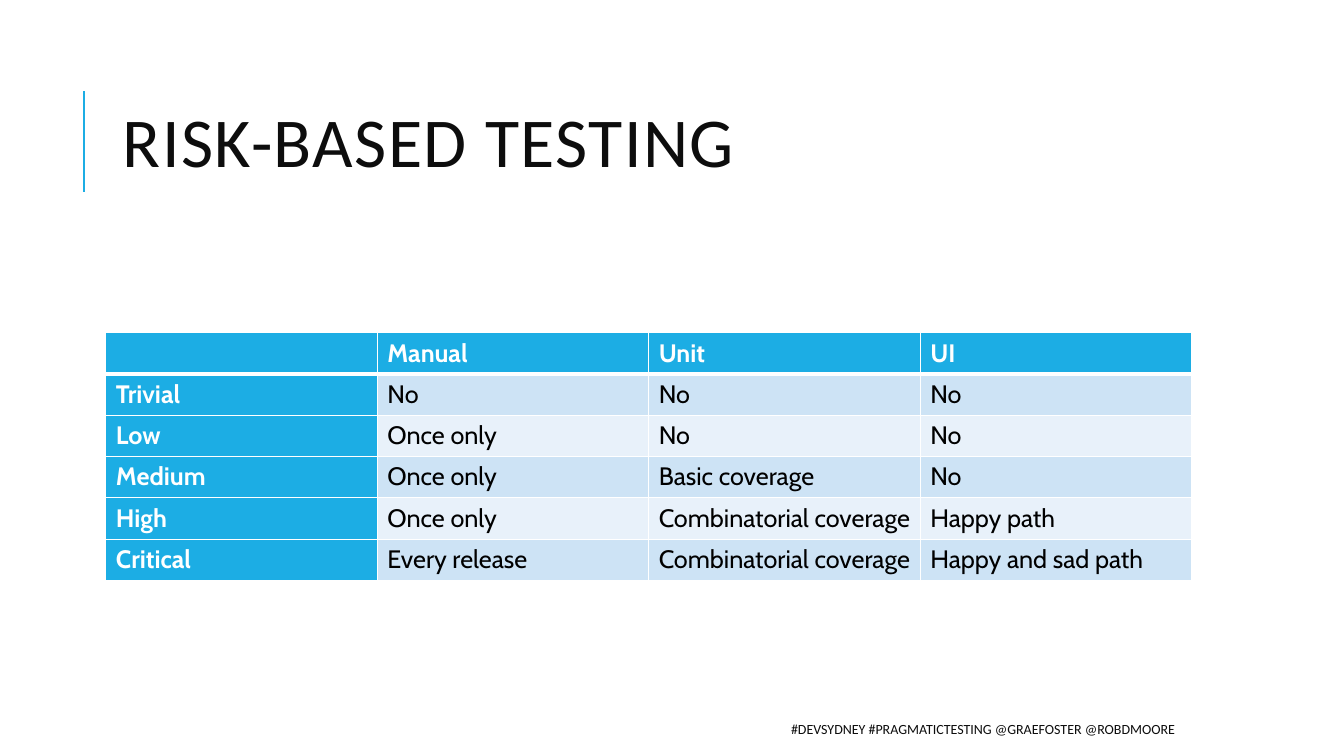
from dataclasses import dataclass

from lxml.etree import SubElement
from pptx import Presentation
from pptx.dml.color import RGBColor
from pptx.enum.shapes import MSO_CONNECTOR
from pptx.enum.text import MSO_ANCHOR, PP_ALIGN
from pptx.oxml.ns import qn
from pptx.util import Inches, Pt


@dataclass(frozen=True)
class Theme:
    accent: str = "1CADE4"
    heading: str = "0D0D0D"
    body: str = "000000"
    white: str = "FFFFFF"
    bands: tuple = ("CDE3F5", "E8F1FA")
    heading_font: str = "Calibri"
    table_font: str = "Cabin"
    title_size: int = 50
    table_size: int = 18
    footer_size: int = 10
    rule_width: float = 1.5
    border: int = 1
    header_border: int = 3


THEME = Theme()
RISK_TABLE = [
    ["", "Manual", "Unit", "UI"],
    ["Trivial", "No", "No", "No"],
    ["Low", "Once only", "No", "No"],
    ["Medium", "Once only", "Basic coverage", "No"],
    ["High", "Once only", "Combinatorial coverage", "Happy path"],
    ["Critical", "Every release", "Combinatorial coverage", "Happy and sad path"],
]


def add_span(para, text, font, size, color, bold=False):
    span = para.add_run()
    span.text = text
    span.font.name = font
    span.font.size = Pt(size)
    span.font.bold = bold
    span.font.color.rgb = RGBColor.from_string(color)
    return span


def add_heading_text(page, box, text, size):
    """Add a vertically centred line of text and return its paragraph and run."""
    frame = page.shapes.add_textbox(*map(Inches, box)).text_frame
    frame.word_wrap = True
    frame.vertical_anchor = MSO_ANCHOR.MIDDLE
    para = frame.paragraphs[0]
    return para, add_span(para, text, THEME.heading_font, size, THEME.heading)


def add_title(page, box, text):
    para, span = add_heading_text(page, box, text, THEME.title_size)
    para.line_spacing = 0.8
    span.font._element.set("spc", "100")


def add_footer(page, box, text):
    para, _ = add_heading_text(page, box, text, THEME.footer_size)
    para.alignment = PP_ALIGN.RIGHT


def add_title_rule(page, box):
    left, top, _, height = box
    rule = page.shapes.add_connector(
        MSO_CONNECTOR.STRAIGHT,
        Inches(left), Inches(top + height), Inches(left), Inches(top),
    )
    rule.line.color.rgb = RGBColor.from_string(THEME.accent)
    rule.line.width = Pt(THEME.rule_width)
    SubElement(rule._element.spPr, qn("a:effectLst"))


def set_borders(cell, row):
    """Draw white borders, with a thicker one between the header and the body."""
    properties = cell._tc.get_or_add_tcPr()
    thick_side = {0: "lnB", 1: "lnT"}.get(row)
    for position, side in enumerate(("lnL", "lnR", "lnT", "lnB")):
        width = THEME.header_border if side == thick_side else THEME.border
        line = SubElement(properties, qn(f"a:{side}"), w=str(Pt(width)))
        fill = SubElement(line, qn("a:solidFill"))
        SubElement(fill, qn("a:srgbClr"), val=THEME.white)
        properties.insert(position, line)


def add_risk_table(page, box, rows):
    table = page.shapes.add_table(len(rows), len(rows[0]), *map(Inches, box)).table
    table.first_col = True
    for column in table.columns:
        column.width = Inches(box[2] / len(rows[0]))
    for row, texts in enumerate(rows):
        table.rows[row].height = Inches(box[3] / len(rows))
        for column, text in enumerate(texts):
            cell = table.cell(row, column)
            is_header = row == 0 or column == 0
            fill = THEME.accent if is_header else THEME.bands[(row - 1) % 2]
            cell.fill.solid()
            cell.fill.fore_color.rgb = RGBColor.from_string(fill)
            set_borders(cell, row)
            if text:
                color = THEME.white if is_header else THEME.body
                add_span(cell.text_frame.paragraphs[0], text, THEME.table_font,
                         THEME.table_size, color, is_header)


def main():
    deck = Presentation()
    deck.slide_width, deck.slide_height = Inches(13.33), Inches(7.5)
    page = deck.slides.add_slide(deck.slide_layouts[6])
    add_title_rule(page, (0.83, 0.9, 0, 1))
    add_footer(page, (5.3, 7.08, 6.45, 0.3),
               "#DEVSYDNEY #PRAGMATICTESTING @GRAEFOSTER @ROBDMOORE")
    add_title(page, (1.12, 0.64, 10.63, 1.64), "RISK-BASED TESTING")
    add_risk_table(page, (1.05, 3.3, 10.77, 2.46), RISK_TABLE)
    deck.save("out.pptx")


if __name__ == "__main__":
    main()
